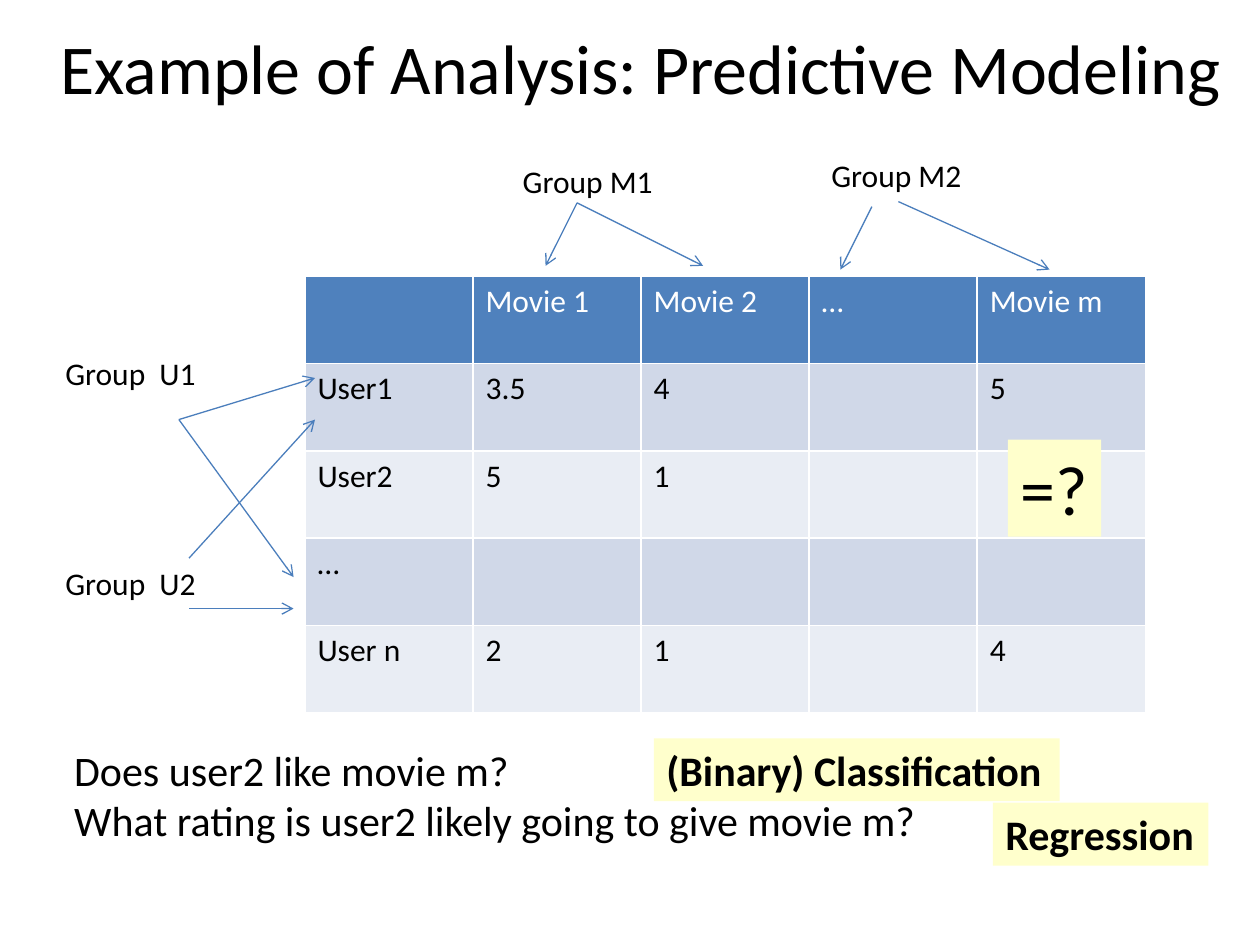
from lxml import etree
from pptx import Presentation
from pptx import util as u
from pptx.dml.color import RGBColor
from pptx.enum import shapes, text
from pptx.oxml.ns import qn

FONT = "Calibri"
COLORS = {
    "text": "000000",
    "header_text": "FFFFFF",
    "header": "4F81BD",
    "odd_row": "D0D8E8",
    "even_row": "E9EDF4",
    "arrow": "4B7EBC",
    "highlight": "FFFFCC",
}

RATINGS = [
    ["", "Movie 1", "Movie 2", "…", "Movie m"],
    ["User1", "3.5", "4", "", "5"],
    ["User2", "5", "1", "", ""],
    ["…", "", "", "", ""],
    ["User n", "2", "1", "", "4"],
]

GROUP_LABELS = [
    ("Group M1", 4.05, 1.24),
    ("Group M2", 6.5, 1.19),
    ("Group  U1", 0.42, 2.76),
    ("Group  U2", 0.42, 4.43),
]

# Start x, start y, end x, end y
GROUP_ARROWS = [
    (4.58, 1.61, 4.33, 2.11),
    (4.58, 1.61, 5.58, 2.11),
    (7.13, 1.6, 8.33, 2.14),
    (6.92, 1.64, 6.67, 2.14),
    (1.42, 3.33, 2.5, 3),
    (1.42, 3.33, 2.33, 4.58),
    (1.5, 4.83, 2.33, 4.83),
    (1.5, 4.43, 2.5, 3.33),
]


def color(name):
    return RGBColor.from_string(COLORS[name])


def format_text(text_frame, size, color_name="text", bold=False):
    for paragraph in text_frame.paragraphs:
        for run in paragraph.runs:
            run.font.name = FONT
            run.font.size = u.Pt(size)
            run.font.bold = bold
            run.font.color.rgb = color(color_name)


def set_title(slide, title):
    shape = slide.shapes.title
    shape.left, shape.top = u.Inches(-0.5), u.Inches(-0.01)
    shape.width, shape.height = u.Inches(11.17), u.Inches(1.08)
    shape.text_frame.text = title
    shape.text_frame.vertical_anchor = text.MSO_ANCHOR.MIDDLE
    shape.text_frame.paragraphs[0].alignment = text.PP_ALIGN.CENTER
    format_text(shape.text_frame, 40)


def add_ratings_table(slide):
    table = slide.shapes.add_table(
        len(RATINGS), len(RATINGS[0]),
        u.Inches(2.42), u.Inches(2.19), u.Inches(6.67), u.Inches(3.47)).table
    for row, values in enumerate(RATINGS):
        if row == 0:
            fill, text_color = "header", "header_text"
        else:
            fill, text_color = ("odd_row" if row % 2 else "even_row"), "text"
        for column, value in enumerate(values):
            cell = table.cell(row, column)
            cell.fill.solid()
            cell.fill.fore_color.rgb = color(fill)
            cell.text_frame.text = value
            format_text(cell.text_frame, 18, text_color)


def add_text(slide, content, left, top, width, height, size,
             bold=False, fill=None):
    shape = slide.shapes.add_textbox(
        u.Inches(left), u.Inches(top), u.Inches(width), u.Inches(height))
    if fill:
        shape.fill.solid()
        shape.fill.fore_color.rgb = color(fill)
    shape.text_frame.text = content
    shape.text_frame.word_wrap = False
    shape.text_frame.auto_size = text.MSO_AUTO_SIZE.SHAPE_TO_FIT_TEXT
    format_text(shape.text_frame, size, bold=bold)


def add_arrow(slide, start_x, start_y, end_x, end_y):
    connector = slide.shapes.add_connector(
        shapes.MSO_CONNECTOR.STRAIGHT, u.Inches(start_x), u.Inches(start_y),
        u.Inches(end_x), u.Inches(end_y))
    connector.line.color.rgb = color("arrow")
    connector.line.width = u.Pt(0.75)
    line = connector.line._get_or_add_ln()
    etree.SubElement(line, qn("a:tailEnd"), type="arrow")
    etree.SubElement(connector._element.spPr, qn("a:effectLst"))


def main():
    presentation = Presentation()
    presentation.slide_width = u.Inches(10)
    presentation.slide_height = u.Inches(7.5)
    slide = presentation.slides.add_slide(presentation.slide_layouts[5])

    # Title and ratings
    set_title(slide, "Example of Analysis: Predictive Modeling")
    add_ratings_table(slide)

    # Movie and user groups
    for arrow in GROUP_ARROWS:
        add_arrow(slide, *arrow)
    for label, left, top in GROUP_LABELS:
        add_text(slide, label, left, top, 1.25, 0.4, 18)

    # Unknown rating
    add_text(slide, "=?", 8, 3.49, 0.74, 0.77, 40, fill="highlight")

    # Questions and the kinds of prediction they call for
    add_text(slide, "Does user2 like movie m?\n"
             "What rating is user2 likely going to give movie m?",
             0.49, 5.86, 7.01, 0.91, 24)
    add_text(slide, "(Binary) Classification", 5.19, 5.86, 3.22, 0.5, 24,
             bold=True, fill="highlight")
    add_text(slide, "Regression", 7.88, 6.37, 1.71, 0.5, 24,
             bold=True, fill="highlight")

    presentation.save("out.pptx")


if __name__ == "__main__":
    main()
